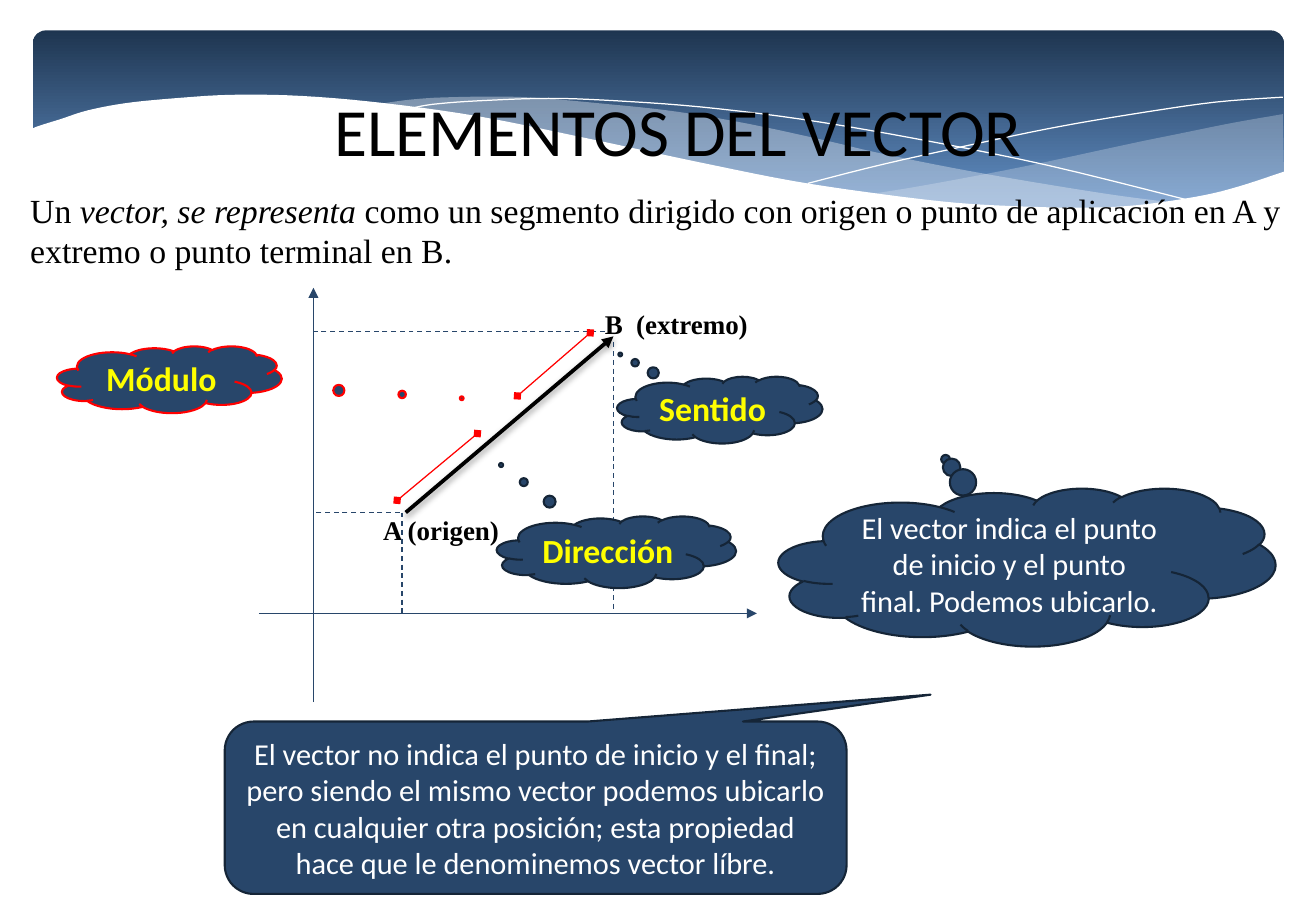
from lxml import etree
from pptx import Presentation
from pptx import util as u
from pptx.dml.color import RGBColor
from pptx.enum import dml, shapes, text
from pptx.oxml.ns import qn

COLORS = {
    "white": "FFFFFF", "black": "000000", "navy": "28466A", "edge": "152537",
    "red": "FF0000", "yellow": "FFFF00", "mist": "E7EDF5",
    "sky_top": "1E3550", "sky_bottom": "608DC3",
}
SERIF = "Times New Roman"

WAVE_RIGHT = (
    [(760.3, 67.7), (730, 73), (695.5, 80), (671, 85), (607.7, 98.6),
     (550.8, 109.4), (515.5, 115.2)],
    [(515.5, 115.2), (560, 120), (609, 123.5), (635, 124), (666, 122.8),
     (700, 118.8), (735, 111.2), (761, 102.2)],
)
WAVE_MIDDLE = (
    [(696.2, 120.2), (653, 114.5), (579, 102.2), (521, 90.7), (490.3, 83.5),
     (443.5, 73.4), (401, 66.2), (362, 61.9), (311, 57.6), (268.6, 57.6),
     (244, 59), (223.2, 61.9)],
    [(223.2, 61.9), (267, 67.7), (315.4, 76.3), (350.6, 83.5), (413.3, 97.2),
     (468.7, 108), (519, 115.9), (563.8, 121), (603, 123.8), (638, 124.6),
     (669, 123.1), (696.2, 120.2)],
)
WAVE_FRONT = (
    [(761.8, 101.5), (733, 110.9), (709, 116.6), (673.2, 121.7),
     (642.2, 123.1), (606.2, 122.4), (566.6, 120.2), (522, 115),
     (470.2, 107.3), (412.6, 95.8), (348.5, 82.1), (284.4, 69.1),
     (228.2, 61.2), (179.3, 56.9), (137.5, 56.2), (103, 58.3), (74.2, 61.2),
     (51.8, 65.5), (36, 70.6), (22.3, 74.9), (18, 77)],
    [(18, 161), (761.8, 161)],
)
THREAD_DOWN = (
    [(241.2, 64.8), (256, 61.9), (283, 59.8), (325, 58.3), (366, 59.8),
     (415.4, 63.4), (474.5, 70.6), (542.2, 82.1), (620.6, 97.9),
     (707.8, 119.5)],
)
THREAD_UP = (
    [(478.8, 108.7), (524.2, 97.2), (583.2, 84.2), (628.6, 74.9),
     (675.4, 67), (720.7, 60.5), (760.3, 57.6)],
)


def rgb(name):
    return RGBColor.from_string(COLORS[name])


def place(*lengths):
    return [u.Pt(v) for v in lengths]


def sub(parent, tag, **attrs):
    return etree.SubElement(parent, qn(tag), attrs)


def write(p, content, font="Calibri", size=18, color="black", bold=False,
          italic=False, align=None):
    p.alignment = align
    r = p.add_run()
    r.text = content
    f = r.font
    f.name, f.size, f.bold, f.italic = font, u.Pt(size), bold, italic
    f.color.rgb = rgb(color)


def smooth(points, steps=5):
    """Return points on a Catmull-Rom curve through the given ones."""
    padded = [points[0], *points, points[-1]]
    curve = [points[0]]
    for a, b, c, d in zip(padded, padded[1:], padded[2:], padded[3:]):
        for t in (k / steps for k in range(1, steps + 1)):
            curve.append(tuple(
                (2 * q + (m - o) * t + (2 * o - 5 * q + 4 * m - n) * t ** 2
                 + (3 * q - o - 3 * m + n) * t ** 3) / 2
                for o, q, m, n in zip(a, b, c, d)))
    return curve


def add_wave(s, edges, fill=None, alpha=100):
    """Draw a filled wave, or a thin white thread when fill is None."""
    points = [place(*pt) for edge in edges for pt in smooth(edge)]
    fb = s.shapes.build_freeform(*points[0])
    fb.add_line_segments(points[1:], close=fill is not None)
    sp = fb.convert_to_shape()
    sp.shadow.inherit = False
    if fill is None:
        sp.fill.background()
        sp.line.color.rgb = rgb("white")
        sp.line.width = u.Pt(0)
        return
    sp.fill.solid()
    sp.fill.fore_color.rgb = rgb(fill)
    sp.line.fill.background()
    if alpha < 100:
        clr = sp._element.spPr.find(qn("a:solidFill")).find(qn("a:srgbClr"))
        sub(clr, "a:alpha", val=str(alpha * 1000))


def add_banner(s):
    sp = s.shapes.add_shape(shapes.MSO_SHAPE.ROUNDED_RECTANGLE,
                            *place(19.5, 18, 741.5, 112.3))
    sp.adjustments[0] = 0.07
    sp.shadow.inherit = False
    sp.line.fill.background()
    sp.fill.gradient()
    sp.fill.gradient_angle = 270
    for stop, position, color in zip(sp.fill.gradient_stops, (0, 0.9),
                                     ("sky_top", "sky_bottom")):
        stop.position = position
        stop.color.rgb = rgb(color)
    add_wave(s, WAVE_RIGHT, "mist", 29)
    add_wave(s, WAVE_MIDDLE, "mist", 40)
    add_wave(s, THREAD_DOWN)
    add_wave(s, THREAD_UP)
    add_wave(s, WAVE_FRONT, "white")


def add_title(s, content):
    title = s.shapes.title
    title.left, title.top, title.width, title.height = place(175, 48.2, 453.6, 56.9)
    tf = title.text_frame
    tf.vertical_anchor = text.MSO_ANCHOR.MIDDLE
    write(tf.paragraphs[0], content, size=40, align=text.PP_ALIGN.CENTER)
    title._element.getparent().append(title._element)  # in front of the banner


def add_textbox(s, box):
    tf = s.shapes.add_textbox(*place(*box)).text_frame
    tf.word_wrap = True
    return tf.paragraphs[0]


def add_line(s, start, end, color="navy", width=0.75, dash=False, head=None,
             tail=None, shadow=False):
    c = s.shapes.add_connector(shapes.MSO_CONNECTOR.STRAIGHT,
                               *place(*start, *end))
    c.line.color.rgb = rgb(color)
    c.line.width = u.Pt(width)
    if dash:
        c.line.dash_style = dml.MSO_LINE.DASH
    spPr = c._element.spPr
    ln = spPr.find(qn("a:ln"))
    for tag, end_type in (("a:headEnd", head), ("a:tailEnd", tail)):
        if end_type:
            sub(ln, tag, type=end_type)
    effects = sub(spPr, "a:effectLst")
    if shadow:
        outer = sub(effects, "a:outerShdw", blurRad=str(u.Pt(4)),
                    dist=str(u.Pt(2)), dir="5400000", rotWithShape="0")
        clr = sub(outer, "a:srgbClr", val=COLORS["black"])
        sub(clr, "a:alpha", val="38000")


def add_callout(s, kind, box, adjustments, content, edge="edge", **fmt):
    sp = s.shapes.add_shape(kind, *place(*box))
    for i, value in enumerate(adjustments):
        sp.adjustments[i] = value
    sp.shadow.inherit = False
    sp.fill.solid()
    sp.fill.fore_color.rgb = rgb("navy")
    sp.line.color.rgb = rgb(edge)
    sp.line.width = u.Pt(1.25)
    tf = sp.text_frame
    tf.word_wrap = True
    tf.vertical_anchor = text.MSO_ANCHOR.MIDDLE
    write(tf.paragraphs[0], content, align=text.PP_ALIGN.CENTER, **fmt)


def add_diagram(s):
    add_line(s, (240.5, 303.8), (363.6, 199.4), "black", 2.25,
             tail="triangle", shadow=True)
    for start, end in (((153.4, 363.6), (448.6, 363.6)),
                       ((185.8, 416.2), (185.8, 170.6))):
        add_line(s, start, end, tail="triangle")
    for start, end in (((238.3, 303.8), (238.3, 363.6)),
                       ((363.6, 203), (363.6, 362.2)),
                       ((236.9, 303.8), (185.8, 303.8)),
                       ((358.6, 196.6), (185.8, 196.6))):
        add_line(s, start, end, dash=True)


def add_callouts(s):
    cloud = shapes.MSO_SHAPE.CLOUD_CALLOUT
    for content, box, adjustments, edge in (
            ("Dirección", (294.5, 306, 141.8, 42.5), (-0.482, -1.215), "edge"),
            ("Sentido", (365.8, 223.2, 121.7, 39.6), (-0.485, -0.831), "edge"),
            ("Módulo", (33.8, 205.2, 133.2, 39.6), (1.301, 0.28), "red")):
        add_callout(s, cloud, box, adjustments, content, edge,
                    size=20, color="yellow", bold=True)
    add_callout(s, cloud, (461.5, 289.4, 294.5, 93.6), (-0.164, -0.683),
                "El vector indica el punto de inicio y el punto final. "
                "Podemos ubicarlo.", color="white")
    for start, end in (((235.4, 296.6), (283, 257)),
                       ((306.7, 234.7), (349.9, 197.3))):
        add_line(s, start, end, "red", head="diamond", tail="diamond")
    add_callout(s, shapes.MSO_SHAPE.ROUNDED_RECTANGULAR_CALLOUT,
                (133.2, 427.7, 368.6, 102.2), (0.635, -0.656, 0.167),
                "El vector no indica el punto de inicio y el final; pero "
                "siendo el mismo vector podemos ubicarlo en cualquier otra "
                "posición; esta propiedad hace que le denominemos vector "
                "líbre.", color="white")


def main():
    prs = Presentation()
    prs.slide_width, prs.slide_height = place(780, 540)
    s = prs.slides.add_slide(prs.slide_layouts[5])
    add_banner(s)
    add_title(s, "ELEMENTOS DEL VECTOR")
    for content, box in (("A (origen)", (220, 301, 95.8, 26.6)),
                         ("B  (extremo)", (351.4, 178.6, 103.7, 26.6))):
        write(add_textbox(s, box), content, font=SERIF, size=16, bold=True)
    p = add_textbox(s, (10.8, 108.7, 759.6, 79.9))
    for content, italic in (
            ("Un ", False), ("vector, se representa", True),
            (" como un segmento dirigido con origen o punto de aplicación "
             "en A y extremo o punto terminal en B.", False)):
        write(p, content, font=SERIF, size=20, italic=italic)
    add_diagram(s)
    add_callouts(s)
    prs.save("out.pptx")


if __name__ == "__main__":
    main()
